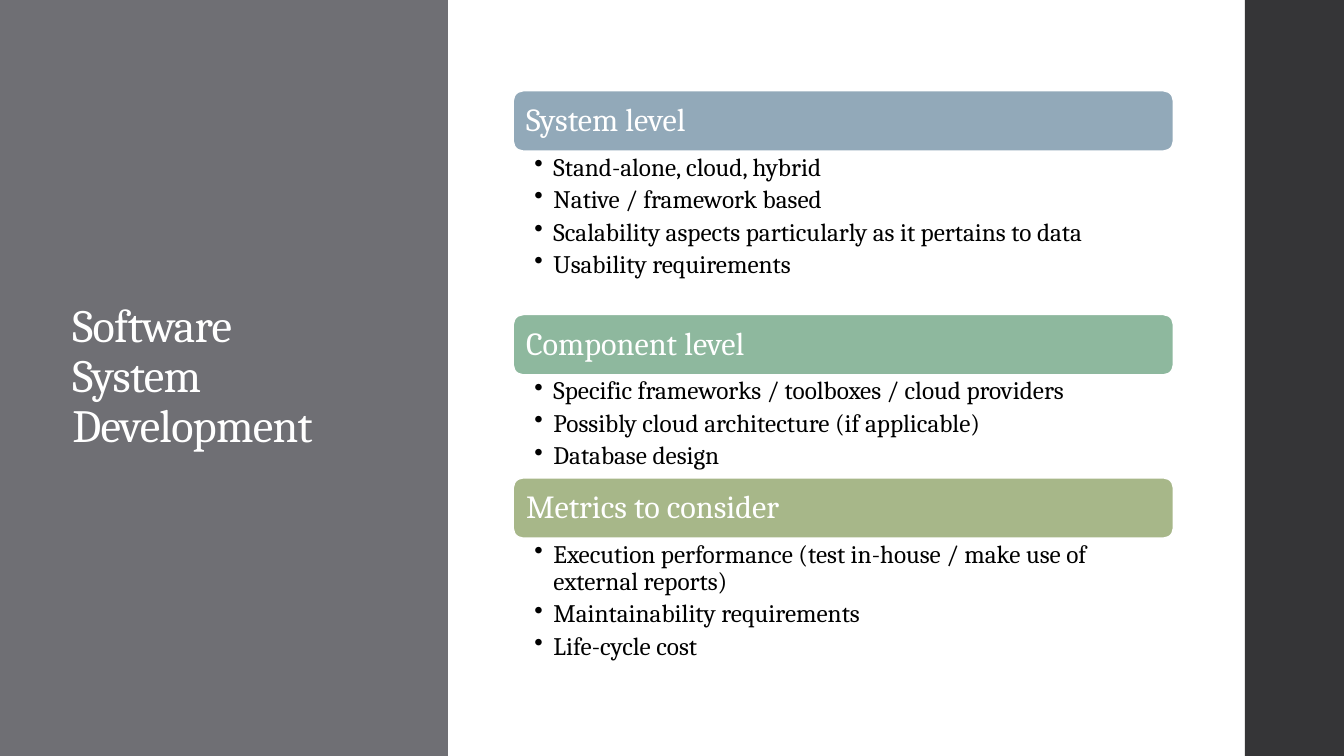
from dataclasses import dataclass

from lxml import etree
from pptx import Presentation
from pptx.dml.color import RGBColor
from pptx.enum.shapes import MSO_SHAPE
from pptx.enum.text import MSO_ANCHOR, PP_ALIGN
from pptx.oxml.ns import qn
from pptx.util import Inches, Pt

RECTANGLE = MSO_SHAPE.RECTANGLE
ROUNDED = MSO_SHAPE.ROUNDED_RECTANGLE
TOP = MSO_ANCHOR.TOP
MIDDLE = MSO_ANCHOR.MIDDLE
LEFT = PP_ALIGN.LEFT

WIDTH, HEIGHT = Inches(13.33), Inches(7.5)
COLUMN, ROW = WIDTH / 100, HEIGHT / 100
LIST_LEFT, LIST_TOP, LIST_WIDTH = 38.18, 12, 49.13
HEADING_ROWS = 8


@dataclass(frozen=True)
class Theme:
    """Colours, type sizes and spacing of the slide."""

    font: str = "Cambria"
    white: str = "FFFFFF"
    black: str = "000000"
    panel: str = "6F6F74"
    strip: str = "353537"
    title_size: float = 33
    heading_size: float = 23
    bullet_size: float = 18
    line_spacing: float = 0.9
    bullet_gap: float = 3.8
    outline: float = 1.1


THEME = Theme()

SECTIONS = [
    ("System level", "92A9B9", 21.6, [
        "Stand-alone, cloud, hybrid",
        "Native / framework based",
        "Scalability aspects particularly as it pertains to data",
        "Usability requirements",
    ]),
    ("Component level", "8EB89E", 13.6, [
        "Specific frameworks / toolboxes / cloud providers",
        "Possibly cloud architecture (if applicable)",
        "Database design",
    ]),
    ("Metrics to consider", "A7B789", 17.07, [
        "Execution performance (test in-house / make use of external reports)",
        "Maintainability requirements",
        "Life-cycle cost",
    ]),
]


def place(left, top, width, height):
    """Turn grid columns and rows into slide lengths."""
    return (round(left * COLUMN), round(top * ROW),
            round(width * COLUMN), round(height * ROW))


def add_block(page, kind, area, color):
    """Add a filled shape without outline or shadow."""
    block = page.shapes.add_shape(kind, *place(*area))
    block.shadow.inherit = False
    block.fill.solid()
    block.fill.fore_color.rgb = RGBColor.from_string(color)
    block.line.fill.background()
    return block


def prepare_frame(box, anchor, insets):
    """Set wrapping, anchor and insets of a box and return its text frame."""
    frame = box.text_frame
    frame.word_wrap = True
    frame.vertical_anchor = anchor
    (frame.margin_left, frame.margin_top,
     frame.margin_right, frame.margin_bottom) = map(Inches, insets)
    return frame


def write(para, text, size, color):
    """Write one run into a paragraph and return the run."""
    para.alignment = LEFT
    para.line_spacing = THEME.line_spacing
    span = para.add_run()
    span.text = text
    span.font.name = THEME.font
    span.font.size = Pt(size)
    span.font.color.rgb = RGBColor.from_string(color)
    return span


def add_bullet(para):
    """Give a paragraph a hanging bullet."""
    properties = para._p.get_or_add_pPr()
    properties.set("marL", str(Inches(0.19)))
    properties.set("indent", str(Inches(-0.19)))
    etree.SubElement(properties, qn("a:buChar")).set("char", "•")


def add_title(page, text):
    """Add the slide title on the side panel."""
    box = page.shapes.add_textbox(*place(4.65, 12.13, 22.28, 75.6))
    frame = prepare_frame(box, MIDDLE, (0.1, 0.05, 0.1, 0.05))
    span = write(frame.paragraphs[0], text, THEME.title_size, THEME.white)
    span._r.get_or_add_rPr().set("spc", "-50")


def add_heading(page, top, text, color):
    """Add a rounded section heading."""
    area = (LIST_LEFT, top, LIST_WIDTH, HEADING_ROWS)
    bar = add_block(page, ROUNDED, area, color)
    bar.line.color.rgb = RGBColor.from_string(THEME.white)
    bar.line.width = Pt(THEME.outline)
    frame = prepare_frame(bar, MIDDLE, (0.1, 0.1, 0.1, 0.1))
    write(frame.paragraphs[0], text, THEME.heading_size, THEME.white)


def add_bullets(page, top, rows, items):
    """Add the bulleted list of a section."""
    box = page.shapes.add_textbox(*place(LIST_LEFT, top, LIST_WIDTH, rows))
    frame = prepare_frame(box, TOP, (0.21, 0.03, 0.18, 0.03))
    for index, item in enumerate(items):
        para = frame.add_paragraph() if index else frame.paragraphs[0]
        add_bullet(para)
        para.level = 1
        para.space_after = Pt(THEME.bullet_gap)
        write(para, item, THEME.bullet_size, THEME.black)


def main():
    """Build the slide and save the deck."""
    deck = Presentation()
    deck.slide_width, deck.slide_height = WIDTH, HEIGHT
    page = deck.slides.add_slide(deck.slide_layouts[6])
    add_block(page, RECTANGLE, (0, 0, 33.33, 100), THEME.panel)
    add_title(page, "Software System Development")
    add_block(page, RECTANGLE, (92.62, 0, 7.38, 100), THEME.strip)
    top = LIST_TOP
    for heading, color, rows, items in SECTIONS:
        add_heading(page, top, heading, color)
        add_bullets(page, top + HEADING_ROWS, rows, items)
        top += HEADING_ROWS + rows
    deck.save("out.pptx")


if __name__ == "__main__":
    main()
